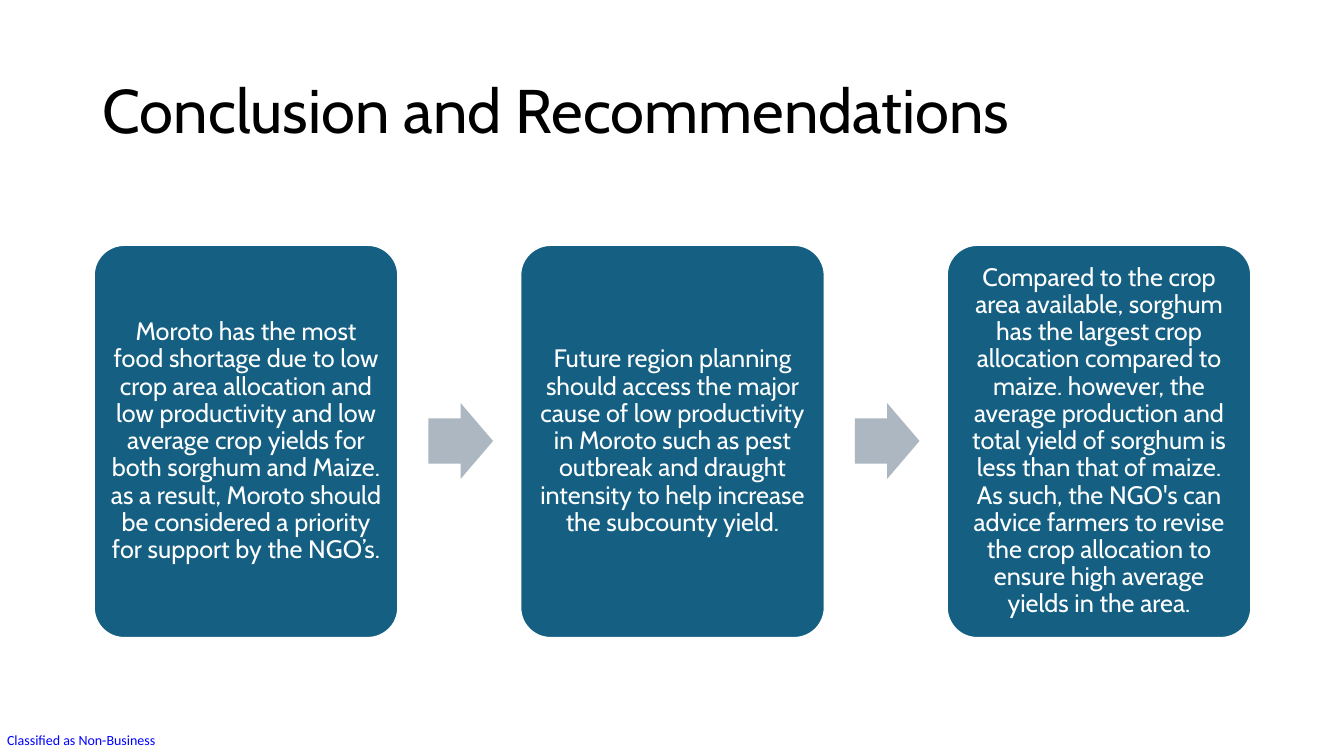
from dataclasses import dataclass

from pptx import Presentation
from pptx import util as u
from pptx.dml.color import RGBColor
from pptx.enum import shapes, text

CARD_LEFT, CARD_TOP, CARD_WIDTH, CARD_HEIGHT = 0.93, 2.43, 3.02, 3.9
CARD_STEP = 4.23
ARROW_OFFSET, ARROW_WIDTH, ARROW_HEIGHT = 3.32, 0.64, 0.75
ARROW_TOP = 4.0

CONCLUSIONS = [
    "Moroto has the most food shortage due to low crop area allocation and low "
    "productivity and low average crop yields for both sorghum and Maize. as a "
    "result, Moroto should be considered a priority for support by the NGO’s.",
    "Future region planning should access the major cause of low productivity in "
    "Moroto such as pest outbreak and draught intensity to help increase the "
    "subcounty yield.",
    "Compared to the crop area available, sorghum has the largest crop allocation "
    "compared to maize. however, the average production and total yield of sorghum "
    "is less than that of maize. As such, the NGO's can advice farmers to revise the "
    "crop allocation to ensure high average yields in the area.",
]


@dataclass(frozen=True)
class Box:
    left: float
    top: float
    width: float
    height: float

    def lengths(self) -> list[u.Length]:
        return [u.Inches(value) for value in (self.left, self.top, self.width, self.height)]


@dataclass(frozen=True)
class TextStyle:
    font: str
    size: float
    color: str
    align: text.PP_ALIGN = text.PP_ALIGN.LEFT
    anchor: text.MSO_ANCHOR = text.MSO_ANCHOR.MIDDLE
    line_spacing: float = 0.9
    side_margin: float = 0.07
    end_margin: float = 0.07
    wrap: bool = True


TITLE_STYLE = TextStyle("Cabin", 44, "000000", side_margin=0.1, end_margin=0.05)
CARD_STYLE = TextStyle("Cabin", 18, "FFFFFF", align=text.PP_ALIGN.CENTER)
LABEL_STYLE = TextStyle(
    "Calibri", 10, "0000FF", anchor=text.MSO_ANCHOR.TOP, line_spacing=1.0,
    side_margin=0, end_margin=0, wrap=False,
)


def color(value: str) -> RGBColor:
    return RGBColor.from_string(value)


def apply(target, values: dict) -> None:
    for name, value in values.items():
        setattr(target, name, value)


def write(shape, content: str, style: TextStyle) -> None:
    frame = shape.text_frame
    apply(frame, {
        "word_wrap": style.wrap,
        "vertical_anchor": style.anchor,
        "margin_left": u.Inches(style.side_margin),
        "margin_right": u.Inches(style.side_margin),
        "margin_top": u.Inches(style.end_margin),
        "margin_bottom": u.Inches(style.end_margin),
    })
    paragraph = frame.paragraphs[0]
    apply(paragraph, {"alignment": style.align, "line_spacing": style.line_spacing})
    run = paragraph.add_run()
    run.text = content
    apply(run.font, {"name": style.font, "size": u.Pt(style.size)})
    run.font.color.rgb = color(style.color)


def add_text(slide, box: Box, content: str, style: TextStyle) -> None:
    write(slide.shapes.add_textbox(*box.lengths()), content, style)


def add_filled(slide, kind: shapes.MSO_SHAPE, box: Box, fill: str, adjustments: list[float]):
    shape = slide.shapes.add_shape(kind, *box.lengths())
    shape.shadow.inherit = False
    shape.fill.solid()
    shape.fill.fore_color.rgb = color(fill)
    shape.line.fill.background()
    for index, value in enumerate(adjustments):
        shape.adjustments[index] = value
    return shape


def add_card(slide, left: float, content: str) -> None:
    box = Box(left, CARD_TOP, CARD_WIDTH, CARD_HEIGHT)
    card = add_filled(slide, shapes.MSO_SHAPE.ROUNDED_RECTANGLE, box, "156082", [0.1])
    card.line.color.rgb = color("FFFFFF")
    card.line.width = u.Pt(1.5)
    write(card, content, CARD_STYLE)


def add_arrow(slide, left: float) -> None:
    box = Box(left, ARROW_TOP, ARROW_WIDTH, ARROW_HEIGHT)
    add_filled(slide, shapes.MSO_SHAPE.RIGHT_ARROW, box, "ACB7C1", [0.6, 0.5])


def main() -> None:
    presentation = Presentation()
    apply(presentation, {"slide_width": u.Inches(13.33), "slide_height": u.Inches(7.5)})
    slide = presentation.slides.add_slide(presentation.slide_layouts[6])
    add_text(slide, Box(0.07, 7.26, 1.5, 0.17), "Classified as Non-Business", LABEL_STYLE)
    add_text(slide, Box(0.92, 0.4, 11.5, 1.45), "Conclusion and Recommendations", TITLE_STYLE)
    for index, conclusion in enumerate(CONCLUSIONS):
        left = CARD_LEFT + index * CARD_STEP
        add_card(slide, left, conclusion)
        if index < len(CONCLUSIONS) - 1:
            add_arrow(slide, left + ARROW_OFFSET)
    presentation.save("out.pptx")


if __name__ == "__main__":
    main()
